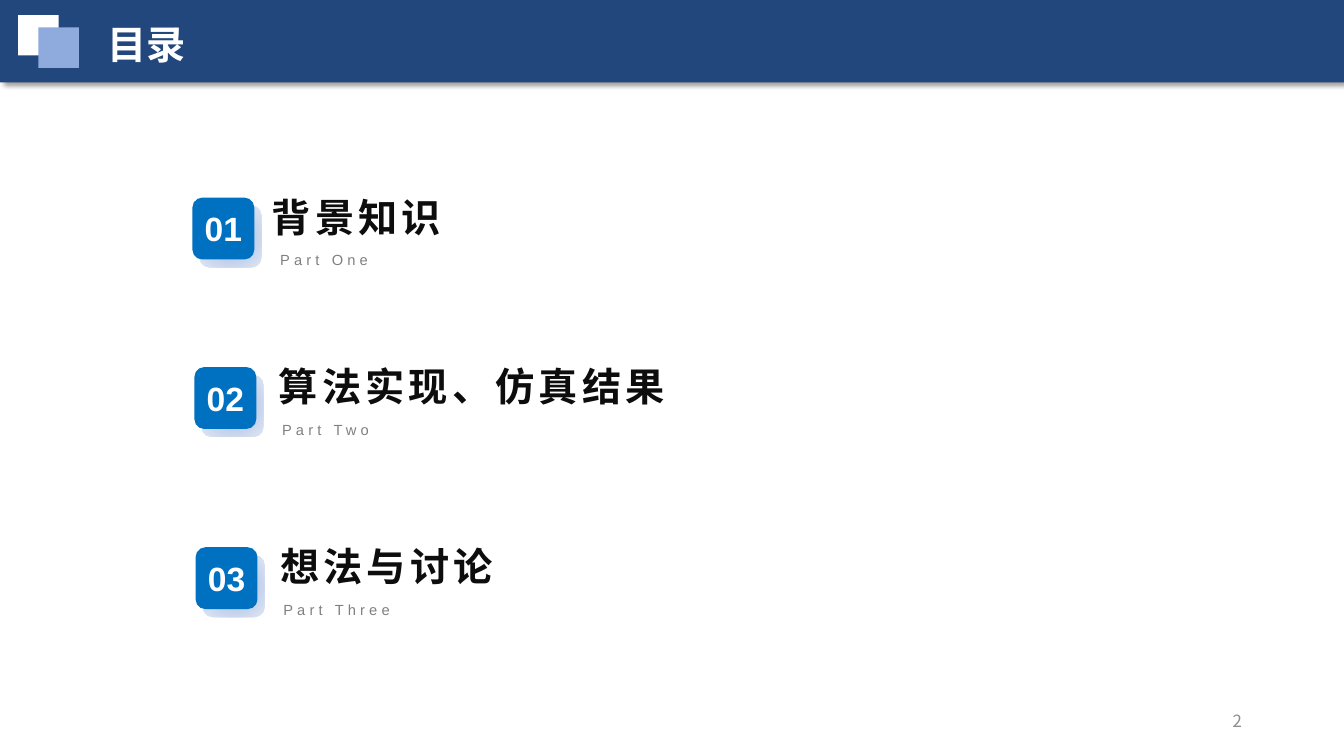
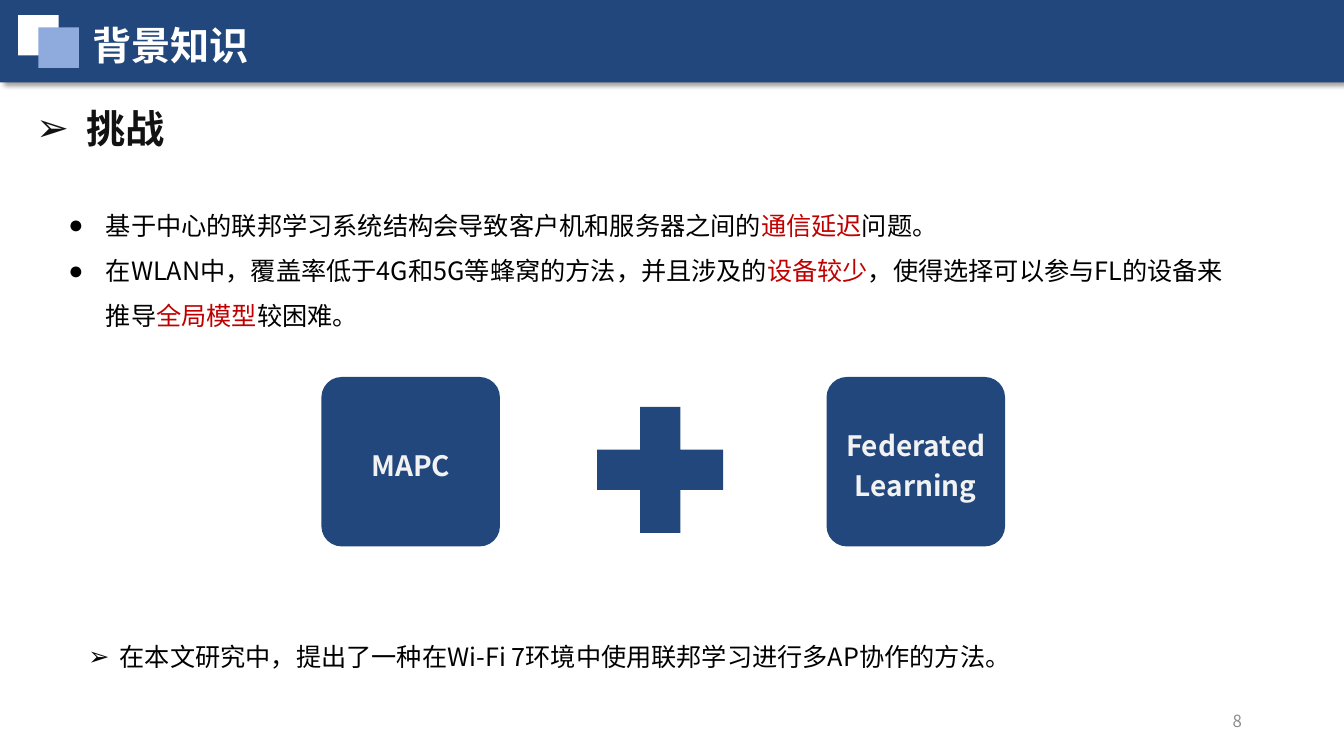
from lxml import etree
from pptx import Presentation
from pptx.dml.color import RGBColor
from pptx.enum.shapes import MSO_SHAPE
from pptx.enum.text import MSO_ANCHOR, MSO_AUTO_SIZE, PP_ALIGN
from pptx.oxml import parse_xml
from pptx.oxml.ns import qn
from pptx.util import Cm, Pt

RECT, ROUND, PLUS = MSO_SHAPE.RECTANGLE, MSO_SHAPE.ROUNDED_RECTANGLE, MSO_SHAPE.MATH_PLUS
TOP, MIDDLE = MSO_ANCHOR.TOP, MSO_ANCHOR.MIDDLE
LEFT, CENTER, RIGHT = PP_ALIGN.LEFT, PP_ALIGN.CENTER, PP_ALIGN.RIGHT
FIXED = MSO_AUTO_SIZE.NONE
SANS, LATIN = "Noto Sans CJK SC", "Arial"
NAVY, BLUE, PALE, WHITE = "22477D", "0070C0", "8FAADC", "FFFFFF"
BLACK, INK, RED, GRAY = "000000", "0D0D0D", "C00000", "808080"
SPACE = 'xmlns:a="http://schemas.openxmlformats.org/drawingml/2006/main"'
SHADOW = (f'<a:effectLst {SPACE}><a:outerShdw blurRad="50800" dist="38100" dir="2700000" '
          'algn="tl" rotWithShape="0"><a:srgbClr val="000000"><a:alpha val="40000"/>'
          '</a:srgbClr></a:outerShdw></a:effectLst>')
STOPS = "".join(f'<a:gs pos="{pos}"><a:srgbClr val="{tone}"/></a:gs>'
                for pos, tone in ((0, "94B1E1"), (50000, "BFCEEA"), (100000, "E0E7F4")))
GLOW = (f'<a:gradFill {SPACE} rotWithShape="1"><a:gsLst>{STOPS}</a:gsLst><a:path path="circle">'
        '<a:fillToRect l="50000" t="50000" r="50000" b="50000"/></a:path></a:gradFill>')
color = RGBColor.from_string


def block(shapes, kind, box, tone=None, round=None):
    shape = shapes.add_shape(kind, *map(Cm, box))
    shape.shadow.inherit = False
    shape.line.fill.background()
    if tone:
        shape.fill.solid()
        shape.fill.fore_color.rgb = color(tone)
    if round:
        shape.adjustments[0] = round
    return shape


def write(shape, *lines, box=None, size=18, tone=BLACK, font=SANS, bold=False, align=LEFT,
          anchor=TOP, pitch=1, track=0, mark=None, indent=0, pad=(0.25, 0.13)):
    if box:
        shape.left, shape.top, shape.width, shape.height = map(Cm, box)
    frame = shape.text_frame
    frame.word_wrap = True
    frame.auto_size = FIXED
    frame.vertical_anchor = anchor
    frame.margin_left = frame.margin_right = Cm(pad[0])
    frame.margin_top = frame.margin_bottom = Cm(pad[1])
    for row, line in enumerate(lines):
        para = frame.add_paragraph() if row else frame.paragraphs[0]
        if mark:
            props = para._p.get_or_add_pPr()
            props.set("marL", str(Cm(indent)))
            props.set("indent", str(-Cm(indent)))
            etree.SubElement(props, qn("a:buFont")).set("typeface", LATIN)
            etree.SubElement(props, qn("a:buChar")).set("char", mark)
        para.alignment = align
        para.line_spacing = pitch
        para.space_before = Pt(0)
        for part, words in enumerate(line.split("|")):
            run = para.add_run()
            run.text = words
            run.font.size = Pt(size)
            run.font.bold = bold
            run.font.name = font
            run.font.color.rgb = color(RED if part % 2 else tone)
            props = run._r.get_or_add_rPr()
            etree.SubElement(props, qn("a:ea")).set("typeface", SANS)
            if track:
                props.set("spc", str(track * 100))


deck = Presentation()
deck.slide_width, deck.slide_height = Cm(33.87), Cm(19.05)

pages = []
for layout, name, left, top, number in ((5, "目录", 2.46, 0.38, "2"),
                                        (1, "背景知识", 2.08, 0.41, "8")):
    slide = deck.slides.add_slide(deck.slide_layouts[layout])
    band = block(slide.shapes, RECT, (0, 0, 33.87, 2.08), NAVY)
    props = band._element.spPr
    props.remove(props.find(qn("a:effectLst")))
    props.append(parse_xml(SHADOW))
    block(slide.shapes, RECT, (0.46, 0.38, 1.02, 1.02), WHITE)
    block(slide.shapes, RECT, (0.97, 0.69, 1.02, 1.02), PALE)
    title = slide.shapes.title
    slide.shapes._spTree.append(title._element)
    write(title, name, box=(left, top, 11.15, 1.45), size=28, tone=WHITE, bold=True)
    write(slide.shapes.add_textbox(0, 0, 0, 0), number, box=(23.93, 17.65, 7.62, 1.02),
          size=12, tone="8C8C8C", align=RIGHT, anchor=MIDDLE)
    pages.append(slide)

agenda, body = pages

parts = (
    ("01", "背景知识", "Part One", 4.85, 4.98, 6.6),
    ("02", "算法实现、仿真结果", "Part Two", 4.9, 9.25, 6.78),
    ("03", "想法与讨论", "Part Three", 4.93, 13.79, 6.81),
)
for number, name, note, left, top, start in parts:
    group = agenda.shapes.add_group_shape().shapes
    write(group.add_textbox(0, 0, 0, 0), note, box=(left + 1.96, top + 1.22, 7.82, 0.71),
          size=10.5, tone=GRAY, font=LATIN, track=3)
    glow = block(group, ROUND, (left + 0.18, top + 0.2, 1.56, 1.56), round=0.16)
    glow._element.spPr.insert(2, parse_xml(GLOW))
    tile = block(group, ROUND, (left, top, 1.56, 1.56), BLUE, 0.16)
    write(tile, number, size=24, tone=WHITE, font=LATIN, bold=True, align=CENTER,
          anchor=MIDDLE, pad=(0, 0))
    write(group.add_textbox(0, 0, 0, 0), name, box=(start, top - 0.25, 12, 1.45),
          size=28, tone=INK, font=LATIN, bold=True, track=3)

write(body.shapes.add_textbox(0, 0, 0, 0), "挑战", box=(0.66, 2.51, 17.07, 1.45),
      size=28, tone="121212", bold=True, mark="➢", indent=1.27)
write(body.placeholders[1],
      "基于中心的联邦学习系统结构会导致客户机和服务器之间的|通信延迟|问题。",
      "在WLAN中，覆盖率低于4G和5G等蜂窝的方法，并且涉及的|设备较少|，"
      "使得选择可以参与FL的设备来推导|全局模型|较困难。",
      box=(1.47, 4.78, 29.87, 3.58), pitch=1.5, mark="●", indent=0.95)
write(body.shapes.add_textbox(0, 0, 0, 0),
      "在本文研究中，提出了一种在Wi-Fi 7环境中使用联邦学习进行多AP协作的方法。",
      box=(1.98, 15.65, 28.22, 1.27), pitch=1.5, mark="➢", indent=0.79)
for name, left in (("MAPC", 8.1), ("Federated Learning", 20.83)):
    card = block(body.shapes, ROUND, (left, 9.5, 4.5, 4.27), NAVY, 0.12)
    write(card, name, size=20, tone="F2F2F2", bold=True, align=CENTER, anchor=MIDDLE,
          pitch=1.2, pad=(0.18, 0.08))
block(body.shapes, PLUS, (14.48, 9.68, 4.32, 4.32), NAVY)

deck.save("out.pptx")
